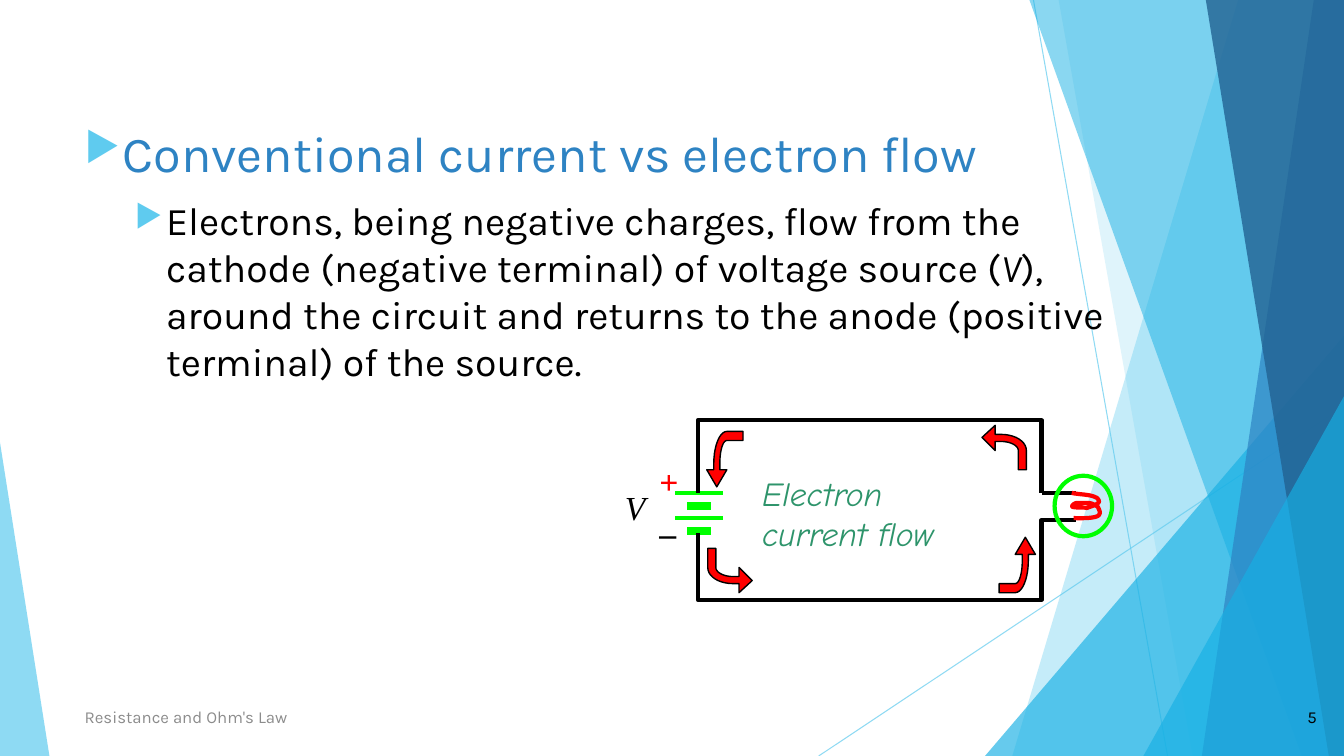
from lxml import etree
from pptx import Presentation
from pptx.dml.color import RGBColor
from pptx.enum.shapes import MSO_CONNECTOR, MSO_SHAPE
from pptx.enum.text import MSO_ANCHOR, PP_ALIGN
from pptx.oxml.ns import qn
from pptx.util import Cm, Pt

STRAIGHT = MSO_CONNECTOR.STRAIGHT
TRIANGLE, OVAL = MSO_SHAPE.ISOSCELES_TRIANGLE, MSO_SHAPE.OVAL
TOP, MIDDLE = MSO_ANCHOR.TOP, MSO_ANCHOR.MIDDLE
LEFT, RIGHT = PP_ALIGN.LEFT, PP_ALIGN.RIGHT

COLORS = {
    "sky": "5FCBEF", "cyan": "17B0E4", "blue": "2E83C3", "navy": "226292",
    "black": "000000", "red": "FF0000", "green": "00FF00",
    "teal": "2E946B", "gray": "8C8C8C",
}
WIDTH, HEIGHT = 13.33, 7.5

RAYS = [((10.25, 0), (11.58, HEIGHT)), ((WIDTH, 4.03), (8.12, HEIGHT))]
# Each facet: kind, geometry, colour, opacity
FACETS = [
    ("band", (12.28, 10.04), "sky", 36),
    ("band", (10.5, 11.83), "sky", 20),
    ("triangle", (9.77, 3.33, 3.56, 4.17, 1), "cyan", 66),
    ("band", (10.21, 12.91), "cyan", 50),
    ("band", (13.03, 11.92), "blue", 70),
    ("band", (11.96, 13.18), "navy", 80),
    ("triangle", (11.34, 3.93, 1.99, 3.57, 1), "cyan", 66),
    ("triangle", (0, 4.39, 0.49, 3.11, 0), "sky", 70),
]

BULLETS = [
    ([("Conventional current vs electron flow", False)], 36, "blue", 0.38, 0.38, 0),
    ([("Electrons, being negative charges, flow from the cathode (negative terminal) "
       "of voltage source (", False), ("V", True),
      ("), around the circuit and returns to the anode (positive terminal) "
       "of the source.", False)], 28, "black", 0.81, 0.31, 10),
]

BATTERY_CENTER = 6.93
BATTERY_PLATES = [(4.89, 0.24, 3), (5.02, 0.12, 6), (5.14, 0.24, 3), (5.27, 0.12, 6)]
WIRES = [
    [(6.92, 4.89), (6.92, 4.17), (9.04, 4.17)],
    [(9.04, 4.17), (10.33, 4.17), (10.33, 4.89)],
    [(10.67, 5.16), (10.33, 5.16), (10.33, 5.95), (6.92, 5.95), (6.92, 5.29)],
]
LAMP_LEAD = ((10.33, 4.89), (10.67, 4.89))
LAMP = (10.46, 4.72, 0.57, 0.6)
# Two numbers are a corner; six numbers are a curve
FILAMENT = [
    (10.63, 4.89), (10.71, 4.91, 10.81, 4.9, 10.88, 4.94),
    (10.89, 4.95, 10.9, 4.96, 10.9, 4.98), (10.88, 5.01, 10.83, 5.02, 10.78, 5.04),
    (10.74, 5.03, 10.69, 5.04, 10.64, 5.03), (10.62, 5.02, 10.66, 4.99, 10.68, 4.99),
    (10.81, 4.99, 10.82, 4.98, 10.89, 5.03), (10.9, 5.06, 10.92, 5.08, 10.9, 5.11),
    (10.87, 5.15, 10.67, 5.14, 10.65, 5.14),
]
# Each flow arrow is drawn again half a turn round the middle of the circuit
FLOW_ARROWS = [
    ([(7.46, 5.76), (7.33, 5.88), (7.33, 5.79), (7.27, 5.79),
      (7.13, 5.79, 7.02, 5.72, 7.02, 5.63), (7.02, 5.44), (7.1, 5.44), (7.1, 5.63),
      (7.1, 5.68, 7.18, 5.72, 7.27, 5.72), (7.33, 5.72), (7.33, 5.63)], (8.6, 5.05)),
    ([(10.17, 5.33), (10.27, 5.5), (10.2, 5.5), (10.2, 5.56),
      (10.2, 5.74, 10.14, 5.88, 10.07, 5.88), (9.91, 5.88), (9.91, 5.79), (10.07, 5.79),
      (10.11, 5.79, 10.14, 5.69, 10.14, 5.56), (10.14, 5.5), (10.07, 5.5)], (8.64, 5.08)),
]

SERIF, HAND, SANS = "Times New Roman", "Comic Neue", "Karla"
# Each label: frame, lines with colours, font, size, bold, italic, wrap, anchor, alignment
LABELS = [
    ((6.1, 4.78, 0.41, 0.5), [("V", "black")], SERIF, 24, False, True, False, TOP, LEFT),
    ((6.44, 4.52, 0.39, 0.91), [("+", "red"), ("_", "black")],
     SERIF, 24, True, False, False, TOP, LEFT),
    ((7.46, 4.64, 2.16, 0.91), [("Electron", "teal"), ("current flow", "teal")],
     HAND, 24, False, True, False, TOP, LEFT),
    ((12.41, 6.91, 0.75, 0.4), [("5", "black")],
     SANS, 12, False, False, True, MIDDLE, RIGHT),
    ((0.74, 6.91, 6.89, 0.4), [("Resistance and Ohm's Law", "gray")],
     SANS, 12, False, False, True, MIDDLE, LEFT),
]


def inch(value):
    return Cm(value * 2.54)


def rgb(name):
    return RGBColor.from_string(COLORS[name])


def paint(target, name, opacity=100):
    target.solid()
    target.fore_color.rgb = rgb(name)
    if opacity < 100:
        color = target._xPr.find(qn("a:solidFill"))[0]
        etree.SubElement(color, qn("a:alpha")).set("val", str(opacity * 1000))


def style(shape, fill=None, opacity=100, line=None, width=1):
    shape.shadow.inherit = False
    if fill:
        paint(shape.fill, fill, opacity)
    else:
        shape.fill.background()
    if line:
        paint(shape.line.fill, line)
        shape.line.width = Pt(width)
    else:
        shape.line.fill.background()


def add_line(page, start, end, color, width, opacity=100):
    line = page.shapes.add_connector(STRAIGHT, *map(inch, start + end))
    paint(line.line.fill, color, opacity)
    line.line.width = Pt(width)
    etree.SubElement(line._element.spPr, qn("a:effectLst"))


def flatten(steps, count=10):
    points = [steps[0]]
    for step in steps[1:]:
        if len(step) == 2:
            points.append(step)
            continue
        knots = [points[-1], step[:2], step[2:4], step[4:]]
        for index in range(1, count + 1):
            t = index / count
            weights = ((1 - t) ** 3, 3 * t * (1 - t) ** 2, 3 * t * t * (1 - t), t ** 3)
            points.append(tuple(sum(w * knot[axis] for w, knot in zip(weights, knots))
                                for axis in (0, 1)))
    return points


def add_outline(page, steps, close=False, **look):
    points = [(inch(x), inch(y)) for x, y in flatten(steps)]
    builder = page.shapes.build_freeform(*points[0])
    builder.add_line_segments(points[1:], close=close)
    style(builder.convert_to_shape(), **look)


def add_box(page, frame, wrap=True, anchor=TOP):
    text = page.shapes.add_textbox(*map(inch, frame)).text_frame
    text.word_wrap = wrap
    text.vertical_anchor = anchor
    return text


def set_font(para, name, size, color):
    para.font.name = name
    para.font.size = Pt(size)
    para.font.color.rgb = rgb(color)


def add_bullet(para, margin, hang):
    props = para._p.get_or_add_pPr()
    props.set("marL", str(inch(margin)))
    props.set("indent", str(-inch(hang)))
    color = etree.SubElement(props, qn("a:buClr"))
    etree.SubElement(color, qn("a:srgbClr")).set("val", COLORS["sky"])
    etree.SubElement(props, qn("a:buSzPct")).set("val", "80000")
    etree.SubElement(props, qn("a:buChar")).set("char", "▶")


def add_backdrop(page):
    for start, end in RAYS:
        add_line(page, start, end, "sky", 0.75, 70)
    for kind, geometry, color, opacity in FACETS:
        if kind == "band":
            top, bottom = geometry
            corners = [(top, 0), (WIDTH, 0), (WIDTH, HEIGHT), (bottom, HEIGHT)]
            add_outline(page, corners, close=True, fill=color, opacity=opacity)
        else:
            shape = page.shapes.add_shape(TRIANGLE, *map(inch, geometry[:4]))
            shape.adjustments[0] = geometry[4]
            style(shape, color, opacity)


def add_body(page):
    text = add_box(page, (0.74, 1.16, 10.79, 2.71))
    for index, (spans, size, color, margin, hang, before) in enumerate(BULLETS):
        para = text.add_paragraph() if index else text.paragraphs[0]
        add_bullet(para, margin, hang)
        para.space_before = Pt(before)
        set_font(para, SANS, size, color)
        for words, italic in spans:
            span = para.add_run()
            span.text = words
            if italic:
                span.font.italic = True


def add_circuit(page):
    for y, half, width in BATTERY_PLATES:
        add_line(page, (BATTERY_CENTER + half, y), (BATTERY_CENTER - half, y), "green", width)
    for wire in WIRES:
        add_outline(page, wire, line="black", width=3)
    add_line(page, *LAMP_LEAD, "black", 3)
    add_outline(page, FILAMENT, line="red", width=3)
    style(page.shapes.add_shape(OVAL, *map(inch, LAMP)), line="green", width=3)
    for arrow, (middle_x, middle_y) in FLOW_ARROWS:
        points = flatten(arrow)
        turned = [(2 * middle_x - x, 2 * middle_y - y) for x, y in points]
        for outline in (points, turned):
            add_outline(page, outline, close=True, fill="red", line="black")


def add_labels(page):
    for frame, lines, name, size, bold, italic, wrap, anchor, align in LABELS:
        text = add_box(page, frame, wrap, anchor)
        for index, (words, color) in enumerate(lines):
            para = text.add_paragraph() if index else text.paragraphs[0]
            para.text = words
            para.alignment = align
            set_font(para, name, size, color)
            para.font.bold, para.font.italic = bold, italic


def main():
    deck = Presentation()
    deck.slide_width, deck.slide_height = inch(WIDTH), inch(HEIGHT)
    page = deck.slides.add_slide(deck.slide_layouts[6])
    add_backdrop(page)
    add_body(page)
    add_circuit(page)
    add_labels(page)
    deck.save("out.pptx")


if __name__ == "__main__":
    main()
